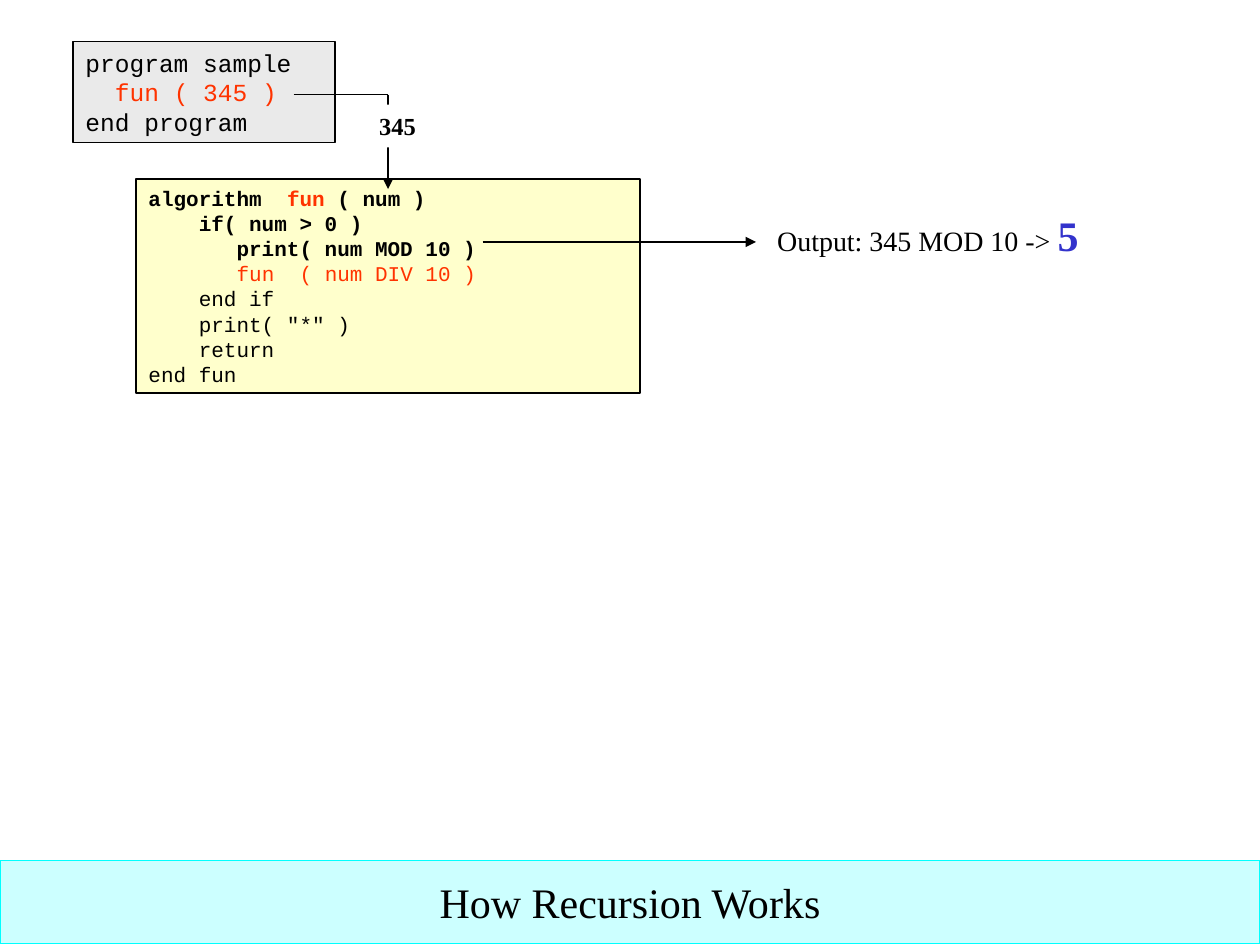
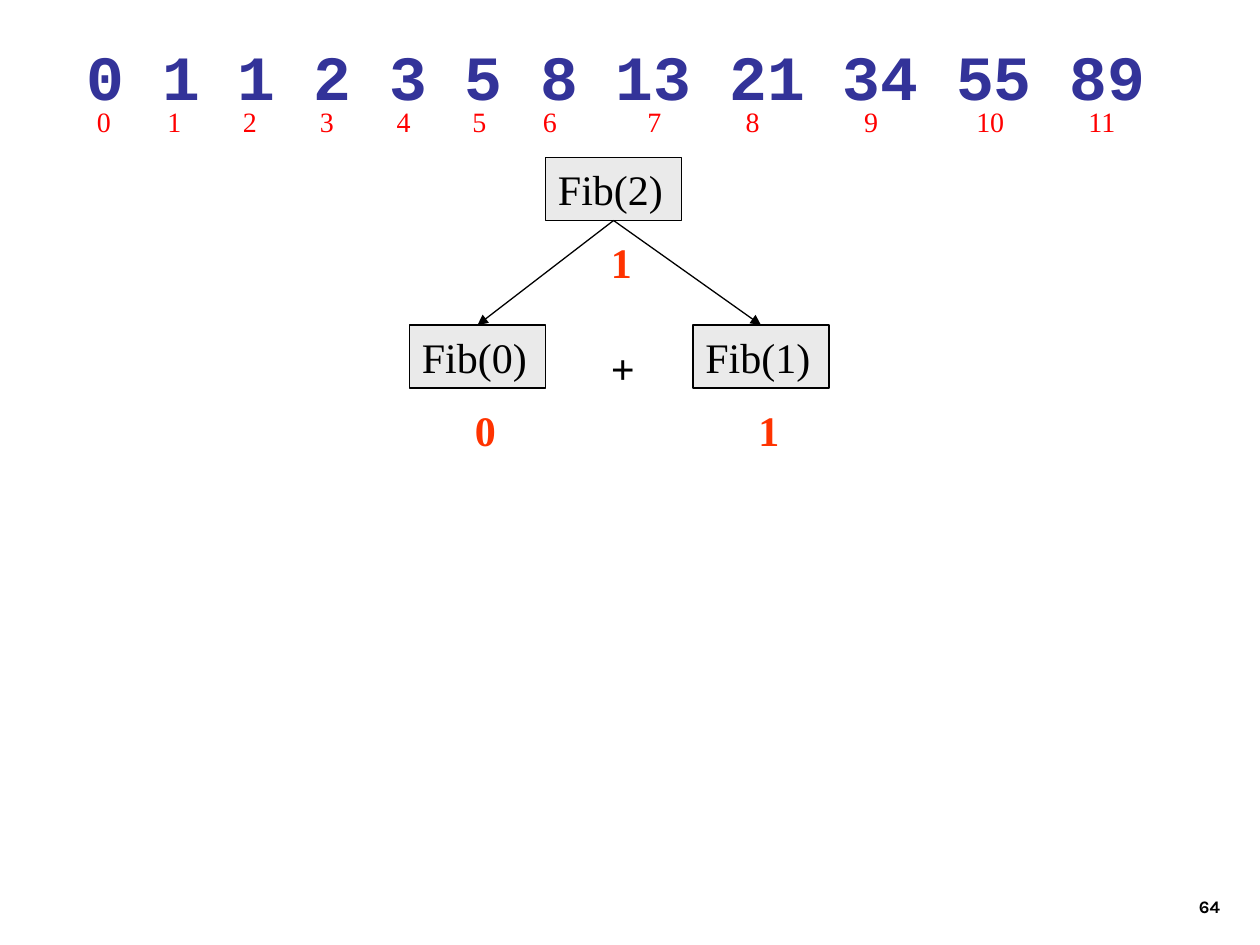
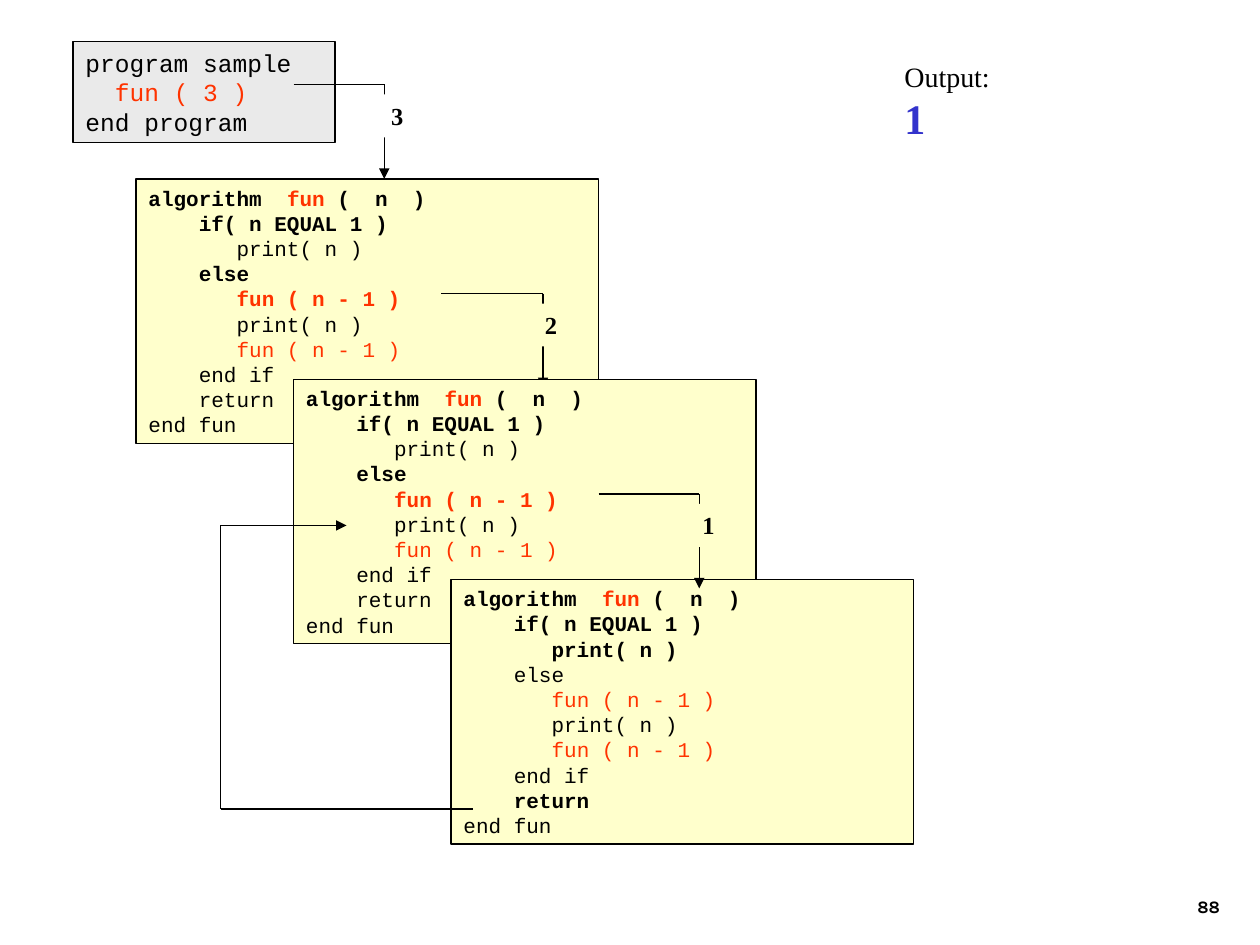
from lxml import etree
from pptx import Presentation
from pptx.dml.color import RGBColor
from pptx.enum.shapes import MSO_CONNECTOR, MSO_SHAPE
from pptx.enum.text import MSO_ANCHOR, PP_ALIGN
from pptx.oxml.ns import qn
from pptx.util import Inches, Pt

RECT = MSO_SHAPE.RECTANGLE
STRAIGHT = MSO_CONNECTOR.STRAIGHT
LEFT, CENTER, RIGHT = PP_ALIGN.LEFT, PP_ALIGN.CENTER, PP_ALIGN.RIGHT
TOP, MIDDLE, BOTTOM = MSO_ANCHOR.TOP, MSO_ANCHOR.MIDDLE, MSO_ANCHOR.BOTTOM

COLORS = {
    "white": "FFFFFF", "black": "000000", "call": "FF3300", "digit": "3333CC",
    "code": "FFFFCC", "gray": "EAEAEA", "band": "CCFFFF", "band_line": "00FFFF",
    "sequence": "333399", "index": "FF0000",
}
SERIF, MONO, NUMBER = "Times New Roman", "Courier New", "Karla"
RESULT = {"size": 24, "color": "digit", "bold": True}

PROGRAM = ["program sample", "  |fun ( {} )", "end program"]
DIGITS_CODE = [
    "algorithm  |fun |( num )",
    "    if( num > 0 )",
    "       print( num MOD 10 )",
    "       |fun  ( num DIV 10 )",
    "    end if",
    '    print( "*" )',
    "    return",
    "end fun",
]
COUNT_CODE = [
    "algorithm  |fun |(  n  )",
    "    if( n EQUAL 1 )",
    "       print( n )",
    "    else",
    "       |fun ( n - 1 )",
    "       print( n )",
    "       |fun ( n - 1 )",
    "    end if",
    "    return",
    "end fun",
]
FIBONACCI = [0, 1, 1, 2, 3, 5, 8, 13, 21, 34, 55, 89]
INDEX_TABS = [0.56, 1.16, 1.77, 2.38, 2.98, 3.54, 4.37, 5.15, 6.09, 6.98, 7.87]


def rgb(name):
    """Return the named colour."""
    return RGBColor.from_string(COLORS[name])


def style(font, name=None, size=None, color=None, bold=None):
    """Set the given properties of a font."""
    if name:
        font.name = name
    if size:
        font.size = Pt(size)
    if color:
        font.color.rgb = rgb(color)
    if bold is not None:
        font.bold = bold


def add_box(s, box, fill=None, line=None, anchor=TOP, wrap=True):
    """Add a rectangle, or a text box when it has no fill."""
    place = [Inches(v) for v in box]
    if fill:
        sp = s.shapes.add_shape(RECT, *place)
        sp.shadow.inherit = False
        sp.fill.solid()
        sp.fill.fore_color.rgb = rgb(fill)
        if line:
            sp.line.color.rgb = rgb(line)
            sp.line.width = Pt(0.75)
        else:
            sp.line.fill.background()
    else:
        sp = s.shapes.add_textbox(*place)
    sp.text_frame.word_wrap = wrap
    sp.text_frame.vertical_anchor = anchor
    return sp


def write(tf, runs, size, name=SERIF, color="black", bold=False, align=LEFT, tabs=()):
    """Write one paragraph of (text, overrides) runs, or of a single string."""
    p = tf.add_paragraph() if tf.text else tf.paragraphs[0]
    p.alignment = align
    if tabs:
        tab_list = etree.SubElement(p._p.get_or_add_pPr(), qn("a:tabLst"))
        for tab in tabs:
            etree.SubElement(tab_list, qn("a:tab"), pos=str(Inches(tab)), algn="l")
    style(p.font, name, size, color, bold)
    for text, changes in [(runs, {})] if isinstance(runs, str) else runs:
        r = p.add_run()
        r.text = text
        style(r.font, **changes)


def add_line(s, start, end, arrow=False):
    """Draw a straight line with an optional arrowhead at its end."""
    line = s.shapes.add_connector(STRAIGHT, *[Inches(v) for v in (*start, *end)])
    line.line.color.rgb = rgb("black")
    line.line.width = Pt(0.75)
    if arrow:
        etree.SubElement(line.line._get_or_add_ln(), qn("a:tailEnd"), type="triangle")
    etree.SubElement(line._element.spPr, qn("a:effectLst"))
    return line


def add_route(s, points):
    """Draw lines through the points and end with an arrowhead."""
    for i in range(1, len(points)):
        add_line(s, points[i - 1], points[i], arrow=i == len(points) - 1)


def add_code(s, box, lines, bold_lines=(), size=12, fill="code"):
    """Add a code listing in which every second part of a line is a call."""
    tf = add_box(s, box, fill, "black").text_frame
    for i, line in enumerate(lines):
        runs = [(part, {"color": "call" if k % 2 else "black"})
                for k, part in enumerate(line.split("|"))]
        write(tf, runs, size, MONO, bold=i in bold_lines)


def add_program(s, argument):
    """Add the calling program with its argument."""
    lines = [line.format(argument) for line in PROGRAM]
    add_code(s, (0.58, 0.33, 2.08, 0.8), lines, size=14, fill="gray")


def add_call(s, x, y, reach, argument, width, fill):
    """Draw the bent arrow of a call with the passed argument on it."""
    add_route(s, [(x, y), (x + reach, y), (x + reach, y + 0.75)])
    tf = add_box(s, (x + 0.58, y + 0.08, width, 0.34), fill).text_frame
    tf.margin_left = 0
    write(tf, argument, 14, bold=True, align=RIGHT)


def add_page_number(s, number):
    """Add the slide number at the lower right."""
    tf = add_box(s, (7.7, 6.83, 2.08, 0.5), anchor=BOTTOM).text_frame
    write(tf, number, 10, NUMBER, bold=True, align=RIGHT)


def add_band(s, title):
    """Add the title band along the bottom."""
    sp = add_box(s, (0, 6.83, 10, 0.66), "band", "band_line", MIDDLE)
    write(sp.text_frame, title, 24, align=CENTER)


def add_sequence(s, x, y):
    """Add the Fibonacci numbers with their indices below."""
    tf = add_box(s, (x, y, 8.9, 0.7), wrap=False).text_frame
    write(tf, " ".join(map(str, FIBONACCI)), 36, MONO, "sequence", True)
    tf = add_box(s, (x + 0.08, y + 0.53, 8.72, 0.37)).text_frame
    indices = "\t".join(map(str, range(len(FIBONACCI))))
    write(tf, indices, 16, color="index", tabs=INDEX_TABS)


def add_node(s, x, y, n, value):
    """Add a call of the tree with its value below."""
    sp = add_box(s, (x, y, 1.08, 0.5), "gray", "black")
    write(sp.text_frame, f"Fib({n})", 24)
    tf = add_box(s, (x + 0.42, y + 0.58, 0.42, 0.5)).text_frame
    write(tf, value, 24, color="call", bold=True)
    return sp


def add_tree(s, x, y):
    """Add a parent call and the two calls it sums."""
    parent = add_node(s, x + 1.08, y, 2, "1")
    children = [add_node(s, x, y + 1.33, 0, "0"), add_node(s, x + 2.25, y + 1.33, 1, "1")]
    for child in children:
        line = add_line(s, (0, 0), (1, 1), arrow=True)
        line.begin_connect(parent, 2)
        line.end_connect(child, 0)
    tf = add_box(s, (x + 1.5, y + 1.42, 0.48, 0.5)).text_frame
    write(tf, "+", 24, bold=True)


def digits_slide(s):
    """Build the slide on the first recursive call."""
    tf = add_box(s, (6.07, 1.61, 2.59, 0.5), wrap=False).text_frame
    write(tf, [("Output: 345 MOD 10 -> ", {}), ("5", RESULT)], 16)
    add_band(s, "How Recursion Works")
    add_code(s, (1.08, 1.42, 4, 1.7), DIGITS_CODE, bold_lines=(0, 1, 2))
    add_program(s, 345)
    add_call(s, 2.33, 0.75, 0.75, "345", 0.49, "white")
    add_route(s, [(3.83, 1.92), (6, 1.92)])


def fibonacci_slide(s):
    """Build the slide on the Fibonacci call tree."""
    add_page_number(s, "64")
    add_tree(s, 3.25, 1.25)
    add_sequence(s, 0.59, 0.25)


def nested_slide(s):
    """Build the slide on three nested calls."""
    add_page_number(s, "88")
    add_program(s, 3)
    tf = add_box(s, (7.08, 0.42, 2.42, 0.77)).text_frame
    write(tf, "Output:", 16)
    write(tf, "1", **RESULT)
    add_call(s, 2.33, 0.67, 0.72, "3", 0.39, "white")
    step_x, step_y = 1.25, 1.59
    for i, bold_lines in enumerate([(0, 1, 3, 4), (0, 1, 3, 4), (0, 1, 2, 8)]):
        dx, dy = i * step_x, i * step_y
        add_code(s, (1.08 + dx, 1.42 + dy, 3.67, 2.1), COUNT_CODE, bold_lines)
        if i == 0:
            add_call(s, 3.5, 2.33, 0.81, "2", 0.44, "code")
    add_call(s, 3.5 + step_x, 2.33 + step_y, 0.8, "1", 0.44, "code")
    add_route(s, [(3.75, 6.42), (1.75, 6.42), (1.75, 4.17), (2.75, 4.17)])


def main():
    """Build and save the presentation."""
    prs = Presentation()
    prs.slide_width, prs.slide_height = Inches(10), Inches(7.5)
    for build in (digits_slide, fibonacci_slide, nested_slide):
        build(prs.slides.add_slide(prs.slide_layouts[6]))
    prs.save("out.pptx")


if __name__ == "__main__":
    main()
